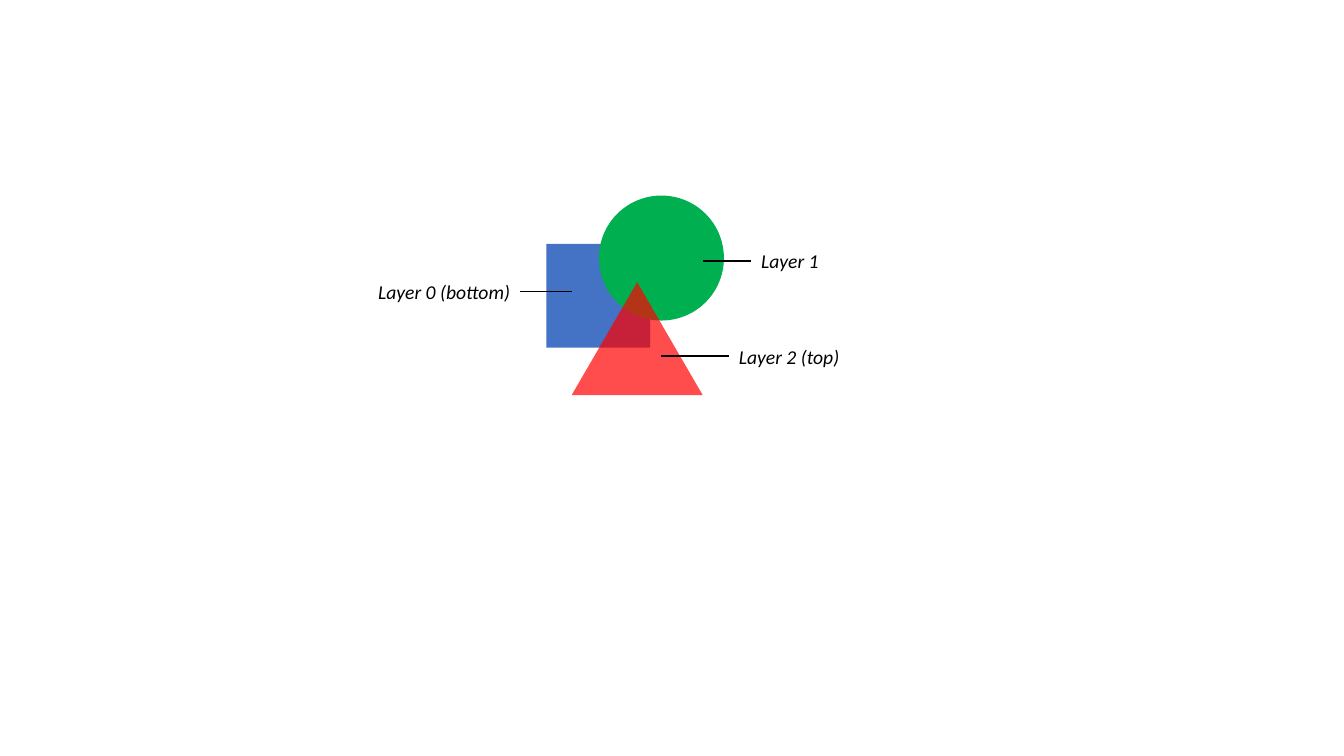
"""Build a slide showing three overlapping shapes as stacked layers."""
import pptx
import pptx.util
import pptx.dml.color
import pptx.enum.shapes
import pptx.enum.text
import pptx.oxml.ns
import lxml.etree

PX = 9144
SHAPE = pptx.enum.shapes.MSO_SHAPE
ALIGN = pptx.enum.text.PP_ALIGN


def rgb(value):
    return pptx.dml.color.RGBColor.from_string(value)


def px(*values):
    return [pptx.util.Emu(v * PX) for v in values]


class LayerSlide:
    font = "Calibri"
    size = 14
    ink = "000000"
    line_width = 1

    def __init__(self, prs):
        self.s = prs.slides.add_slide(prs.slide_layouts[6])

    def layer(self, kind, x, y, w, h, color, opacity=100):
        sp = self.s.shapes.add_shape(kind, *px(x, y, w, h))
        sp.shadow.inherit = False
        sp.fill.solid()
        sp.fill.fore_color.rgb = rgb(color)
        sp.line.fill.background()
        if opacity < 100:
            clr = sp.fill._xPr.find(".//" + pptx.oxml.ns.qn("a:srgbClr"))
            alpha = lxml.etree.SubElement(clr, pptx.oxml.ns.qn("a:alpha"))
            alpha.set("val", str(opacity * 1000))

    def label(self, text, x, y, w, h, align=ALIGN.LEFT):
        tf = self.s.shapes.add_textbox(*px(x, y, w, h)).text_frame
        tf.word_wrap = False
        tf.auto_size = pptx.enum.text.MSO_AUTO_SIZE.SHAPE_TO_FIT_TEXT
        p = tf.paragraphs[0]
        p.text = text
        p.alignment = align
        p.font.name = self.font
        p.font.size = pptx.util.Pt(self.size)
        p.font.italic = True
        p.font.color.rgb = rgb(self.ink)

    def leader(self, x1, x2, y):
        kind = pptx.enum.shapes.MSO_CONNECTOR.STRAIGHT
        cx = self.s.shapes.add_connector(kind, *px(x1, y, x2, y))
        cx.line.color.rgb = rgb(self.ink)
        cx.line.width = pptx.util.Pt(self.line_width)
        lxml.etree.SubElement(cx._element.spPr, pptx.oxml.ns.qn("a:effectLst"))


def main():
    prs = pptx.Presentation()
    prs.slide_width, prs.slide_height = px(1333, 750)
    slide = LayerSlide(prs)

    slide.layer(SHAPE.RECTANGLE, 542, 242, 103, 103, "4472C4")
    slide.layer(SHAPE.OVAL, 594, 194, 124, 124, "00B050")
    slide.layer(SHAPE.ISOSCELES_TRIANGLE, 567, 280, 130, 112, "FF0000", opacity=70)

    slide.label("Layer 0 (bottom)", 363, 273, 153, 34, ALIGN.RIGHT)
    slide.label("Layer 2 (top)", 723, 337, 121, 34)
    slide.label("Layer 1", 745, 242, 78, 34)

    for x1, x2, y in ((723, 656, 353), (516, 567, 289), (745, 697, 259)):
        slide.leader(x1, x2, y)

    prs.save("out.pptx")


if __name__ == "__main__":
    main()
